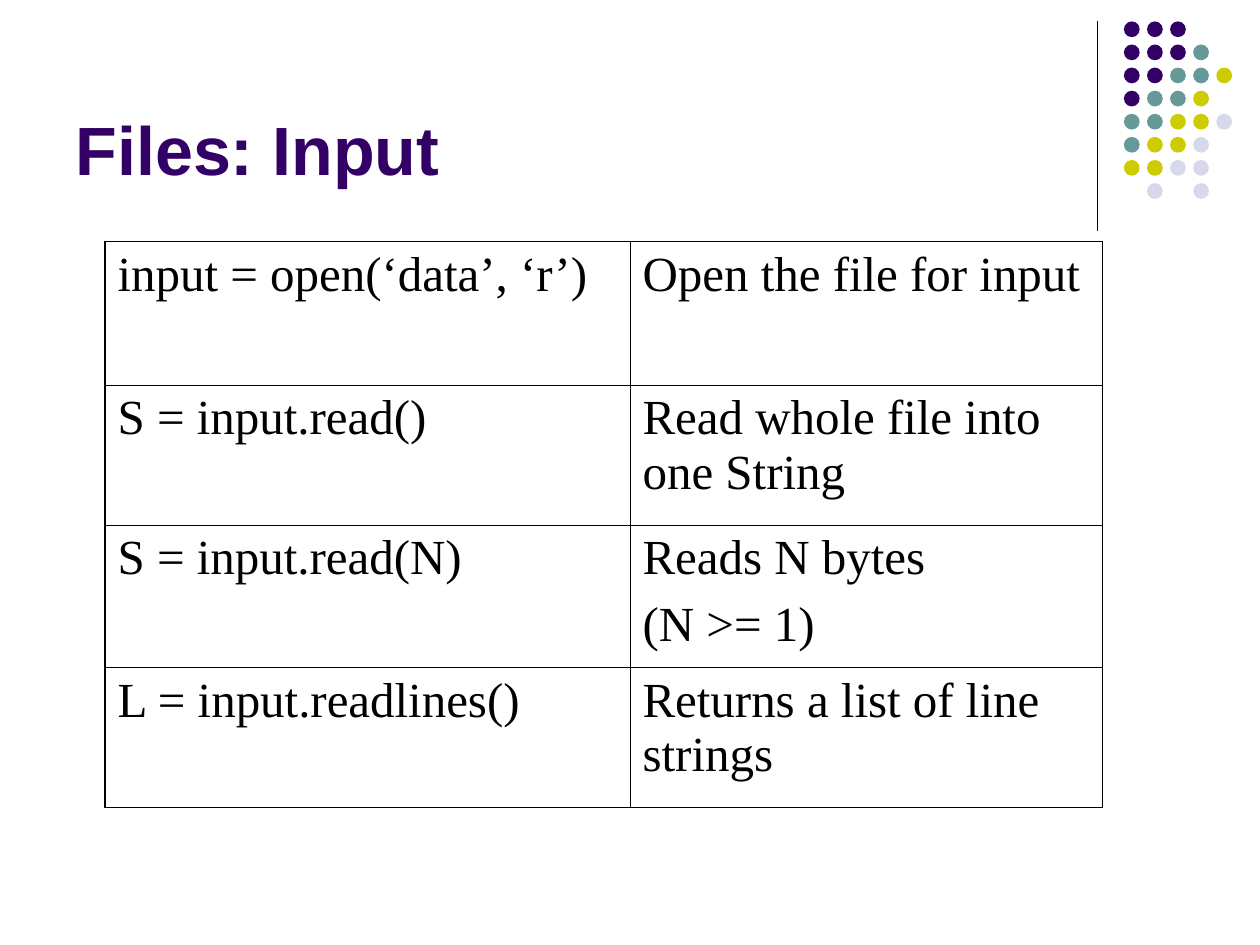
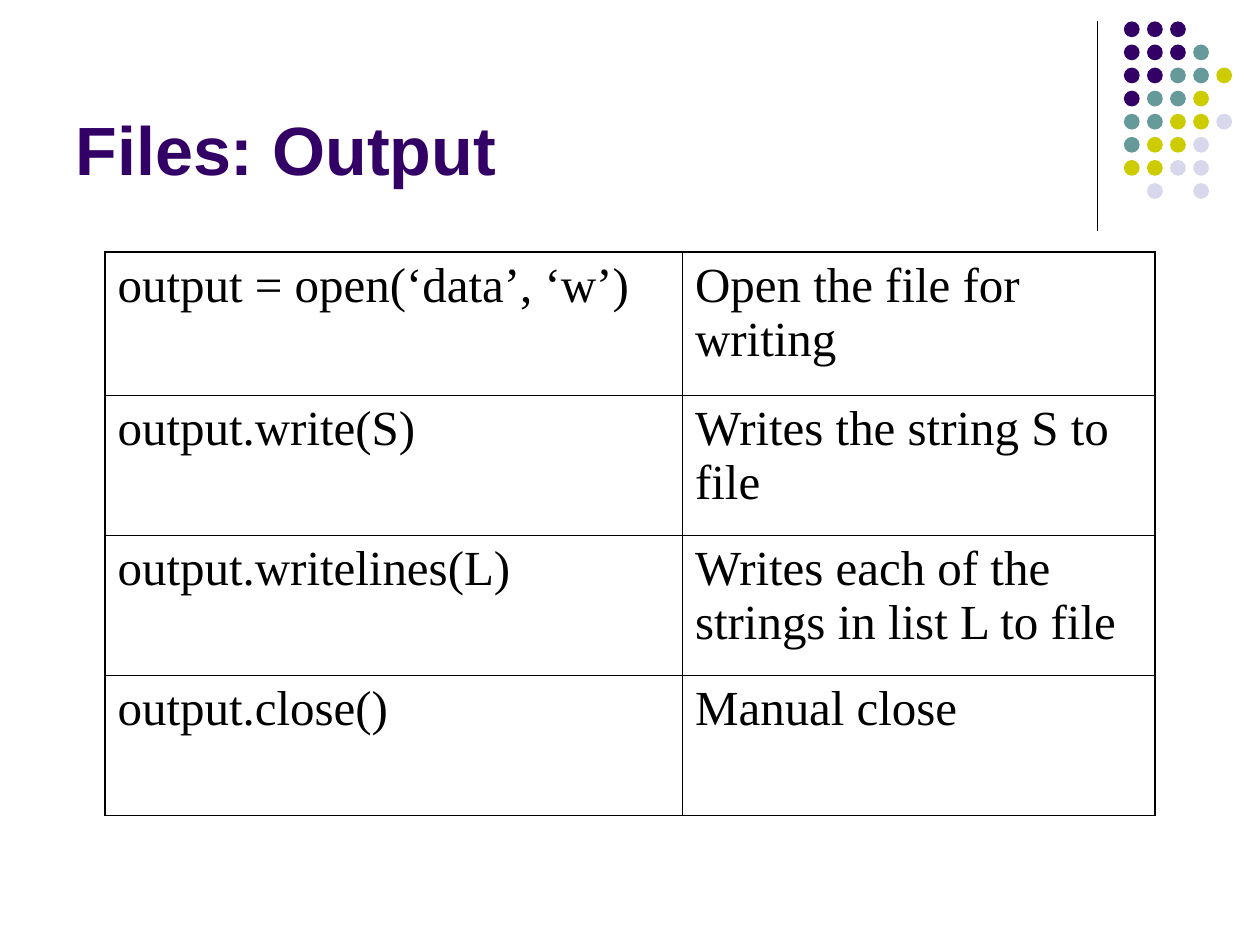
from lxml.etree import SubElement
from pptx import Presentation
from pptx.dml.color import RGBColor
from pptx.enum.shapes import MSO_CONNECTOR, MSO_SHAPE
from pptx.enum.text import MSO_ANCHOR, MSO_AUTO_SIZE, PP_ALIGN
from pptx.oxml.ns import qn
from pptx.util import Pt

PURPLE, TEAL, OLIVE, LAVENDER, BLACK = "330066", "669999", "CCCC00", "D8D8EC", "000000"
DOT_COLORS = {"P": PURPLE, "T": TEAL, "O": OLIVE, "L": LAVENDER}
DOT_ROWS = ["PPP", "PPPT", "PPTTO", "PTTO", "TTOOL", "TOOL", "OOLL", " L L"]
DOT_LEFT, DOT_TOP, DOT_SIZE, DOT_PITCH = 642.25, 12.25, 9, 13.2

TITLE_FONT = {"name": "Arial", "size": Pt(39), "bold": True}
CELL_FONT = {"name": "Times New Roman", "size": Pt(28), "bold": False}
OUTER_LINE, INNER_LINE = 1.08, 0.45
TABLE_LEFT, DESCRIPTION_WIDTH = 60, 270


def rgb(hex_color):
    return RGBColor.from_string(hex_color)


def set_all(target, values):
    for name, value in values.items():
        setattr(target, name, value)


def format_font(font, values, color):
    set_all(font, values)
    font.color.rgb = rgb(color)


class Deck:
    def __init__(self):
        self.presentation = Presentation()
        set_all(self.presentation, {"slide_width": Pt(720), "slide_height": Pt(540)})
        self.slide = None

    def add_slide(self, title):
        title_only = self.presentation.slide_layouts[5]
        self.slide = self.presentation.slides.add_slide(title_only)
        self.add_divider()
        self.add_dots()
        self.set_title(title)

    def add_divider(self):
        divider = self.slide.shapes.add_connector(
            MSO_CONNECTOR.STRAIGHT, Pt(627), Pt(12), Pt(627), Pt(132))
        divider.line.color.rgb = rgb(BLACK)
        divider.line.width = Pt(0.75)
        SubElement(divider._element.spPr, qn("a:effectLst"))

    def add_dots(self):
        dots = self.slide.shapes.add_group_shape().shapes
        for row, pattern in enumerate(DOT_ROWS):
            for column, key in enumerate(pattern):
                if key in DOT_COLORS:
                    dot = dots.add_shape(
                        MSO_SHAPE.OVAL,
                        Pt(DOT_LEFT + column * DOT_PITCH), Pt(DOT_TOP + row * DOT_PITCH),
                        Pt(DOT_SIZE), Pt(DOT_SIZE))
                    dot.shadow.inherit = False
                    dot.fill.solid()
                    dot.fill.fore_color.rgb = rgb(DOT_COLORS[key])
                    dot.line.fill.background()

    def set_title(self, text):
        title = self.slide.shapes.title
        set_all(title, {"left": Pt(36), "top": Pt(9.5), "width": Pt(594), "height": Pt(102)})
        frame = title.text_frame
        frame.text = text
        set_all(frame, {"vertical_anchor": MSO_ANCHOR.BOTTOM, "word_wrap": True,
                        "auto_size": MSO_AUTO_SIZE.NONE})
        paragraph = frame.paragraphs[0]
        paragraph.alignment = PP_ALIGN.LEFT
        format_font(paragraph.runs[0].font, TITLE_FONT, PURPLE)

    def add_call_table(self, top, call_width, row_heights, entries):
        """Add a table of calls (left) and what they do (right)."""
        widths = [call_width, DESCRIPTION_WIDTH]
        table = self.slide.shapes.add_table(
            len(entries), len(widths), Pt(TABLE_LEFT), Pt(top),
            Pt(sum(widths)), Pt(sum(row_heights))).table
        set_all(table, {"first_row": False, "horz_banding": False})
        for column, width in zip(table.columns, widths):
            column.width = Pt(width)
        last_row, last_column = len(entries) - 1, len(widths) - 1
        for r, (entry, height) in enumerate(zip(entries, row_heights)):
            table.rows[r].height = Pt(height)
            for c, text in enumerate(entry):
                cell = table.cell(r, c)
                self.fill_cell(cell, text)
                self.set_borders(cell, {"lnL": c == 0, "lnR": c == last_column,
                                        "lnT": r == 0, "lnB": r == last_row})

    def fill_cell(self, cell, text):
        cell.fill.background()
        cell.text_frame.text = text
        for index, paragraph in enumerate(cell.text_frame.paragraphs):
            paragraph.space_before = Pt(7 if index else 0)
            format_font(paragraph.runs[0].font, CELL_FONT, BLACK)

    def set_borders(self, cell, outer_sides):
        properties = cell._tc.get_or_add_tcPr()
        for position, (side, is_outer) in enumerate(outer_sides.items()):
            width = Pt(OUTER_LINE if is_outer else INNER_LINE)
            border = SubElement(properties, qn(f"a:{side}"), w=str(int(width)))
            fill = SubElement(border, qn("a:solidFill"))
            SubElement(fill, qn("a:srgbClr"), val=BLACK)
            properties.insert(position, border)


def main():
    deck = Deck()

    deck.add_slide("Files: Input")
    deck.add_call_table(138, 300, [82, 80, 81.5, 80], [
        ("input = open(‘data’, ‘r’)", "Open the file for input"),
        ("S = input.read()", "Read whole file into one String"),
        ("S = input.read(N)", "Reads N bytes\n(N >= 1)"),
        ("L = input.readlines()", "Returns a list of line strings"),
    ])

    deck.add_slide("Files: Output")
    deck.add_call_table(144, 330, [82, 80, 80, 80], [
        ("output = open(‘data’, ‘w’)", "Open the file for writing"),
        ("output.write(S)", "Writes the string S to file"),
        ("output.writelines(L)", "Writes each of the strings in list L to file"),
        ("output.close()", "Manual close"),
    ])

    deck.presentation.save("out.pptx")


if __name__ == "__main__":
    main()
